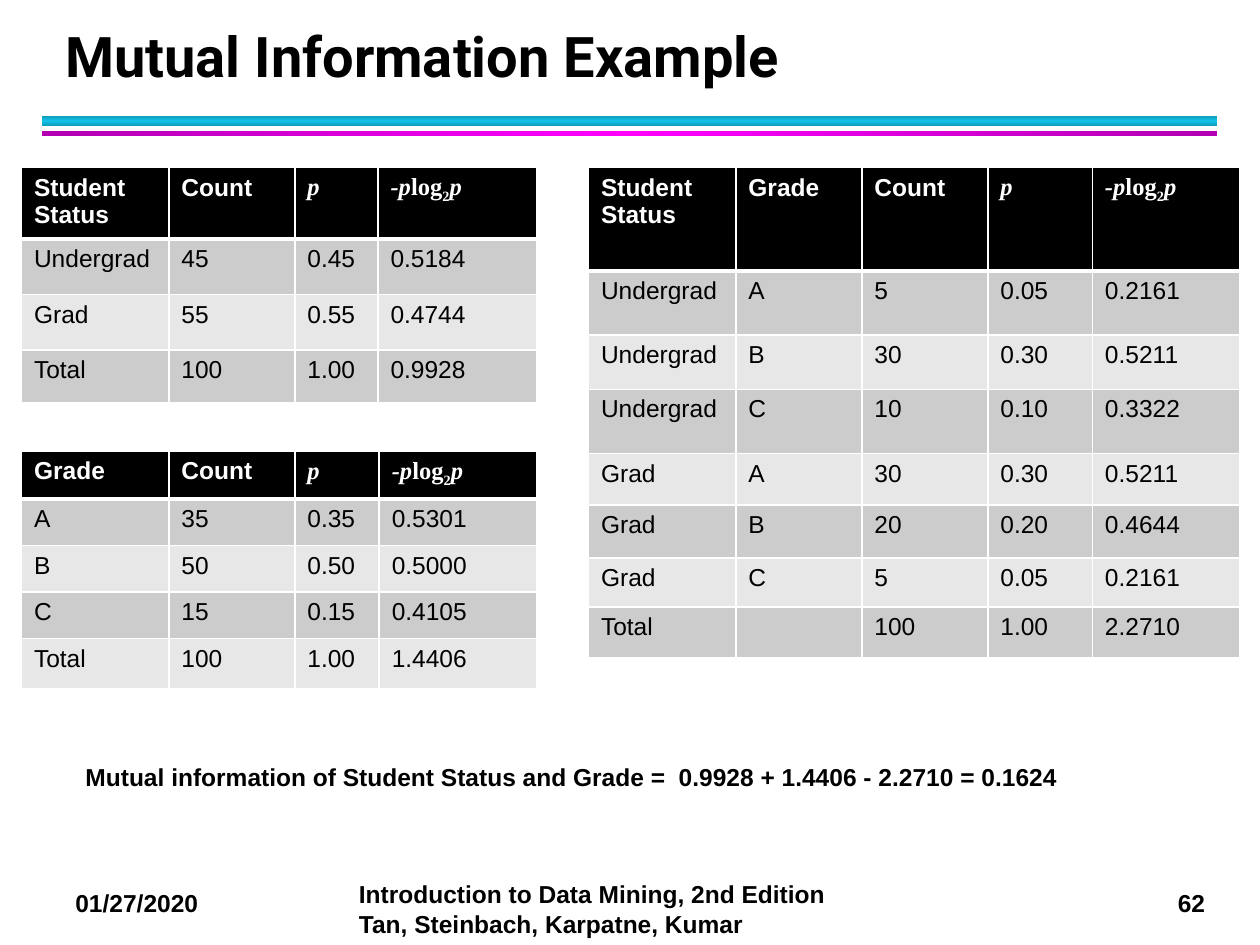
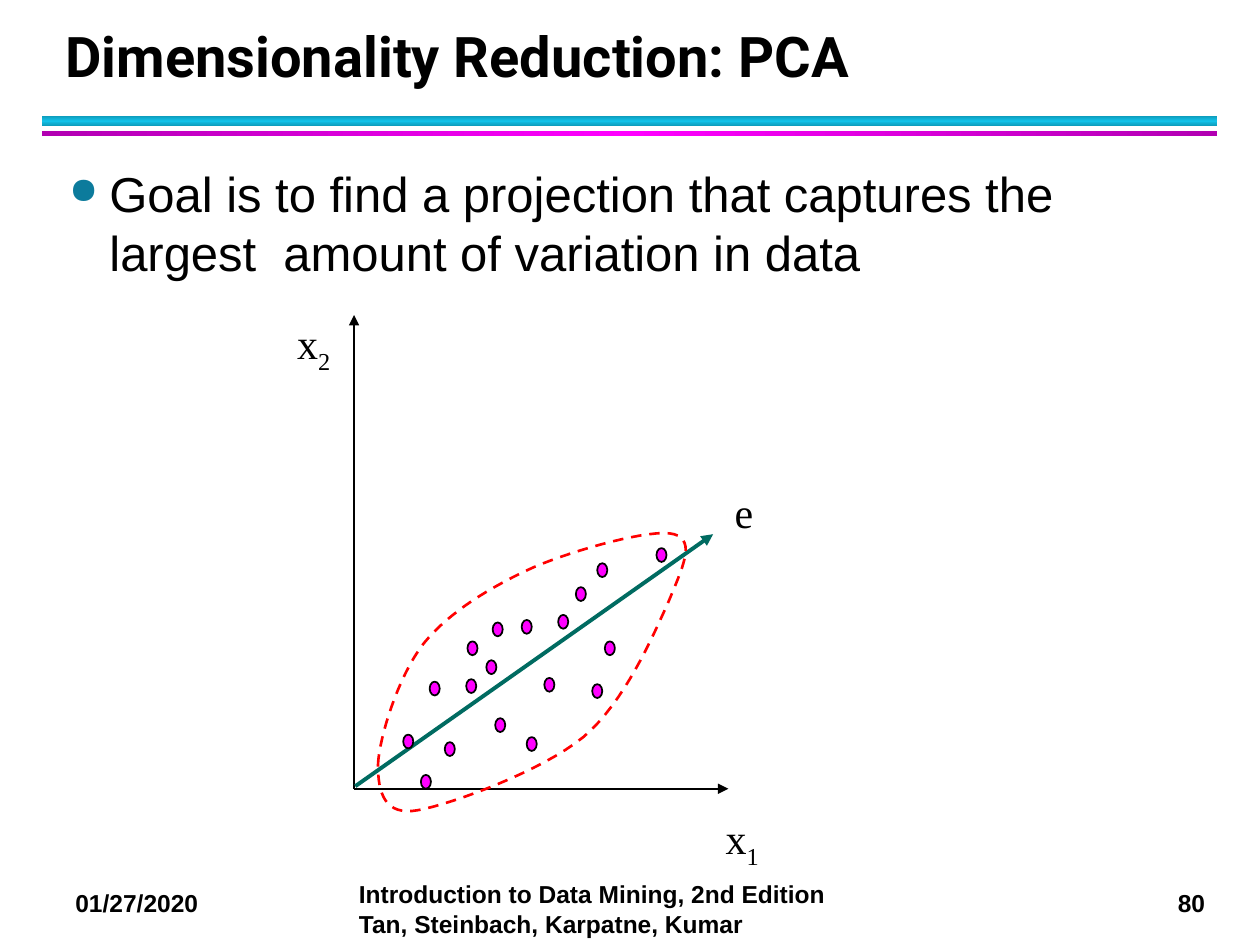
from copy import deepcopy
from dataclasses import dataclass

from lxml.etree import SubElement
from pptx import Presentation
from pptx.dml.color import RGBColor
from pptx.enum.dml import MSO_LINE
from pptx.enum.shapes import MSO_CONNECTOR, MSO_SHAPE
from pptx.enum.text import MSO_ANCHOR, PP_ALIGN
from pptx.oxml.ns import qn
from pptx.util import Emu, Pt

PX = 9144  # 100 px to the inch


@dataclass(frozen=True)
class Theme:
    black: str = "000000"
    white: str = "FFFFFF"
    row_odd: str = "CCCCCC"
    row_even: str = "E7E7E7"
    cyan_edge: str = "0E9BBA"
    cyan: str = "12C2E9"
    magenta_edge: str = "B200B2"
    magenta: str = "FF00FF"
    bullet: str = "0C7B9C"
    component: str = "006B61"
    outline: str = "FF0000"
    title_font: str = "Roboto"
    body_font: str = "Arial"
    math_font: str = "Times New Roman"
    title_size: int = 32
    body_size: int = 28
    label_size: int = 24
    small_size: int = 14


THEME = Theme()
DATE = "01/27/2020"
BOOK = "Introduction to Data Mining, 2nd Edition Tan, Steinbach, Karpatne, Kumar"

# Spans are (text, mode) pairs; the modes are plain, italic and sub
P = [("p", "italic")]
ENTROPY = [("-p", "italic"), ("log", "plain"), ("2", "sub"), ("p", "italic")]


def px(length):
    return Emu(round(length * PX))


def rgb(value):
    return RGBColor.from_string(value)


class SlideBuilder:
    def __init__(self, deck, theme):
        self.deck, self.theme = deck, theme
        self.slide = None

    def page(self, title, number):
        """Start a slide with its title, double rule and footer."""
        theme = self.theme
        self.slide = self.deck.slides.add_slide(self.deck.slide_layouts[6])
        self.band(92, 8, theme.cyan_edge, theme.cyan, 90)
        self.band(104, 4, theme.magenta_edge, theme.magenta, 0)
        self.text((50, 700, 133, 34), DATE, bold=True)
        self.text((925, 700, 44, 34), number, bold=True, wrap=False)
        self.text((275, 693, 408, 57), BOOK, bold=True)
        para = self.text((42, 17, 906, 58), title, theme.title_size, theme.title_font,
                         bold=True, anchor=MSO_ANCHOR.BOTTOM)
        para.line_spacing = Pt(36)

    def band(self, top, height, edge, middle, angle):
        shape = self.shape(MSO_SHAPE.RECTANGLE, (33, top, 933, height))
        shape.line.fill.background()
        shape.fill.gradient()
        shape.fill.gradient_angle = angle
        for stop, color in zip(shape.fill.gradient_stops, (edge, middle)):
            stop.color.rgb = rgb(color)
        stops = shape._element.spPr.find(".//" + qn("a:gsLst"))
        stops.append(deepcopy(stops[0]))
        for stop, position in zip(stops, (0, 50000, 100000)):
            stop.set("pos", str(position))

    def shape(self, kind, place):
        shape = self.slide.shapes.add_shape(kind, *map(px, place))
        shape.shadow.inherit = False
        return shape

    def add_spans(self, para, content, size, font, color, bold=False):
        """Fill a paragraph from a string or a list of spans."""
        spans = [(content, "plain")] if isinstance(content, str) else content
        for words, mode in spans:
            span = para.add_run()
            span.text = words
            span.font.size, span.font.name, span.font.bold = Pt(size), font, bold
            span.font.italic = mode == "italic"
            span.font.color.rgb = rgb(color)
            if mode == "sub":
                span._r.get_or_add_rPr().set("baseline", "-25000")

    def text(self, place, content, size=None, font=None, bold=False, wrap=True,
             anchor=MSO_ANCHOR.TOP, align=PP_ALIGN.LEFT):
        box = self.slide.shapes.add_textbox(*map(px, place))
        box.text_frame.word_wrap = wrap
        box.text_frame.vertical_anchor = anchor
        para = box.text_frame.paragraphs[0]
        para.alignment = align
        self.add_spans(para, content, size or self.theme.small_size,
                       font or self.theme.body_font, self.theme.black, bold)
        return para

    def bullet(self, place, content):
        para = self.text(place, content, self.theme.body_size)
        para.space_after = Pt(4)
        props = para._p.get_or_add_pPr()
        props.set("marL", str(px(32)))
        props.set("indent", str(px(-32)))
        color = SubElement(props, qn("a:buClr"))
        SubElement(color, qn("a:srgbClr"), val=self.theme.bullet)
        SubElement(props, qn("a:buSzPct"), val="75000")
        SubElement(props, qn("a:buChar"), char="●")

    def label(self, place, content):
        self.text(place, content, self.theme.label_size, self.theme.math_font,
                  wrap=False, anchor=MSO_ANCHOR.MIDDLE, align=PP_ALIGN.CENTER)

    def borders(self, cell, row):
        props = cell._tc.get_or_add_tcPr()
        for side in "LRTB":
            heavy = (row, side) in ((0, "B"), (1, "T"))
            line = SubElement(props, qn(f"a:ln{side}"), w=str(Pt(3 if heavy else 1)))
            fill = SubElement(line, qn("a:solidFill"))
            SubElement(fill, qn("a:srgbClr"), val=self.theme.white)

    def table(self, left, top, widths, heights, rows):
        theme = self.theme
        frame = self.slide.shapes.add_table(
            len(rows), len(widths), px(left), px(top), px(sum(widths)), px(sum(heights)))
        table = frame.table
        for column, width in zip(table.columns, widths):
            column.width = px(width)
        for row, height in zip(table.rows, heights):
            row.height = px(height)
        for r, contents in enumerate(rows):
            header = r == 0
            fill = theme.black if header else theme.row_odd if r % 2 else theme.row_even
            for c, content in enumerate(contents):
                cell = table.cell(r, c)
                self.borders(cell, r)
                cell.fill.solid()
                cell.fill.fore_color.rgb = rgb(fill)
                font = theme.body_font if isinstance(content, str) else theme.math_font
                self.add_spans(cell.text_frame.paragraphs[0], content, theme.small_size, font,
                               theme.white if header else theme.black, header)

    def arrow(self, start, end, color, width):
        arrow = self.slide.shapes.add_connector(
            MSO_CONNECTOR.STRAIGHT, *map(px, start + end))
        arrow.line.color.rgb = rgb(color)
        arrow.line.width = Pt(width)
        props = arrow._element.spPr
        SubElement(props.find(qn("a:ln")), qn("a:tailEnd"), type="triangle")
        SubElement(props, qn("a:effectLst"))

    def dot(self, left, top):
        dot = self.shape(MSO_SHAPE.OVAL, (left, top, 8, 11))
        dot.fill.solid()
        dot.fill.fore_color.rgb = rgb(self.theme.magenta)
        dot.line.color.rgb = rgb(self.theme.black)
        dot.line.width = Pt(1)

    def dashed_curve(self, start, curves, steps=16):
        """Draw a closed outline through cubic curves (control, control, end)."""
        points, here = [], start
        for one, two, end in curves:
            for step in range(1, steps + 1):
                t = step / steps
                weights = ((1 - t) ** 3, 3 * t * (1 - t) ** 2, 3 * t * t * (1 - t), t ** 3)
                corners = (here, one, two, end)
                points.append(tuple(px(sum(w * corner[axis] for w, corner
                                           in zip(weights, corners))) for axis in (0, 1)))
            here = end
        builder = self.slide.shapes.build_freeform(*map(px, start))
        builder.add_line_segments(points, close=True)
        curve = builder.convert_to_shape()
        curve.shadow.inherit = False
        curve.fill.background()
        curve.line.color.rgb = rgb(self.theme.outline)
        curve.line.width = Pt(1.5)
        curve.line.dash_style = MSO_LINE.DASH


def mutual_information(builder):
    builder.page("Mutual Information Example", "62")

    # Entropy of each variable
    builder.table(17, 133, (117, 100, 66, 126), (44, 44, 44, 42), [
        ("Student Status", "Count", P, ENTROPY),
        ("Undergrad", "45", "0.45", "0.5184"),
        ("Grad", "55", "0.55", "0.4744"),
        ("Total", "100", "1.00", "0.9928"),
    ])
    builder.table(17, 358, (117, 100, 67, 125), (38, 37, 37, 37, 40), [
        ("Grade", "Count", P, ENTROPY),
        ("A", "35", "0.35", "0.5301"),
        ("B", "50", "0.50", "0.5000"),
        ("C", "15", "0.15", "0.4105"),
        ("Total", "100", "1.00", "1.4406"),
    ])

    # Joint entropy
    builder.table(467, 133, (117, 100, 100, 83, 117), (82, 51, 43, 51, 41, 42, 39, 39), [
        ("Student Status", "Grade", "Count", P, ENTROPY),
        ("Undergrad", "A", "5", "0.05", "0.2161"),
        ("Undergrad", "B", "30", "0.30", "0.5211"),
        ("Undergrad", "C", "10", "0.10", "0.3322"),
        ("Grad", "A", "30", "0.30", "0.5211"),
        ("Grad", "B", "20", "0.20", "0.4644"),
        ("Grad", "C", "5", "0.05", "0.2161"),
        ("Total", "", "100", "1.00", "2.2710"),
    ])
    builder.text((58, 600, 875, 34), "Mutual information of Student Status and Grade =  "
                 "0.9928 + 1.4406 - 2.2710 = 0.1624", bold=True)


def principal_components(builder):
    theme = builder.theme
    builder.page("Dimensionality Reduction: PCA", "80")
    builder.bullet((45, 125, 910, 567), "Goal is to find a projection that captures the "
                   "largest  amount of variation in data")

    # Axes and principal direction
    origin = (281, 626)
    builder.arrow(origin, (281, 250), theme.black, 1)
    builder.arrow(origin, (578, 626), theme.black, 1)
    builder.arrow((282, 624), (566, 424), theme.component, 2.25)

    # Data points and their envelope
    for left, top in ((341, 541), (371, 509), (320, 583), (386, 524), (370, 539), (432, 538),
                      (418, 585), (393, 570), (414, 492), (480, 509), (521, 435), (353, 589),
                      (443, 488), (474, 447), (391, 494), (457, 466), (470, 543), (334, 615)):
        builder.dot(left, top)
    builder.dashed_curve((300, 607), [
        ((301, 585), (316, 537), (336, 511)),
        ((357, 485), (391, 465), (424, 450)),
        ((457, 436), (518, 419), (535, 424)),
        ((553, 429), (541, 452), (530, 479)),
        ((518, 505), (496, 557), (463, 585)),
        ((430, 612), (359, 638), (332, 643)),
        ((305, 648), (300, 629), (300, 607)),
    ])

    # Axis names
    builder.label((225, 250, 48, 50), [("x", "plain"), ("2", "sub")])
    builder.label((565, 643, 48, 50), [("x", "plain"), ("1", "sub")])
    builder.label((573, 381, 35, 50), "e")


def main():
    deck = Presentation()
    deck.slide_width, deck.slide_height = px(1000), px(750)
    builder = SlideBuilder(deck, THEME)
    mutual_information(builder)
    principal_components(builder)
    deck.save("out.pptx")


if __name__ == "__main__":
    main()
